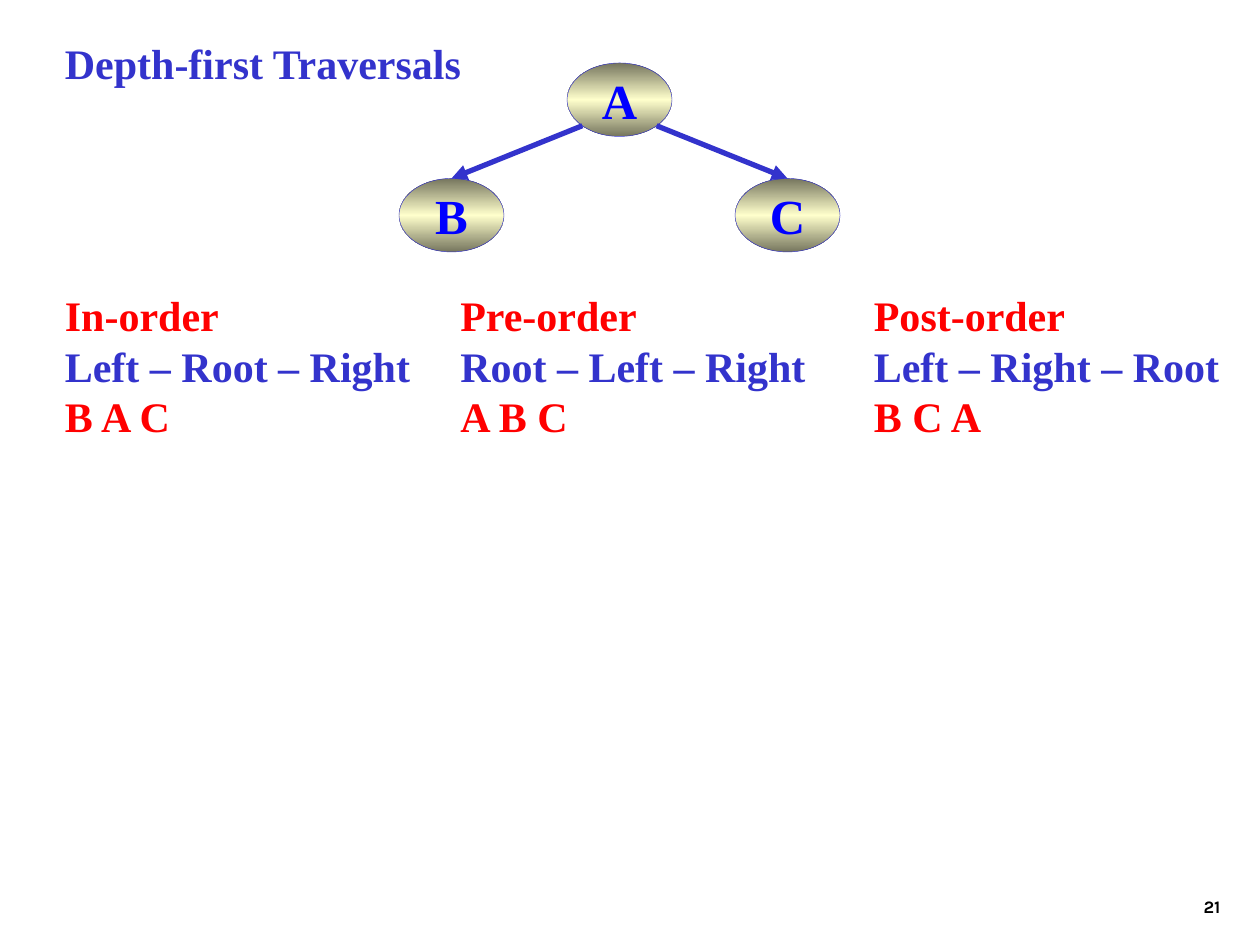
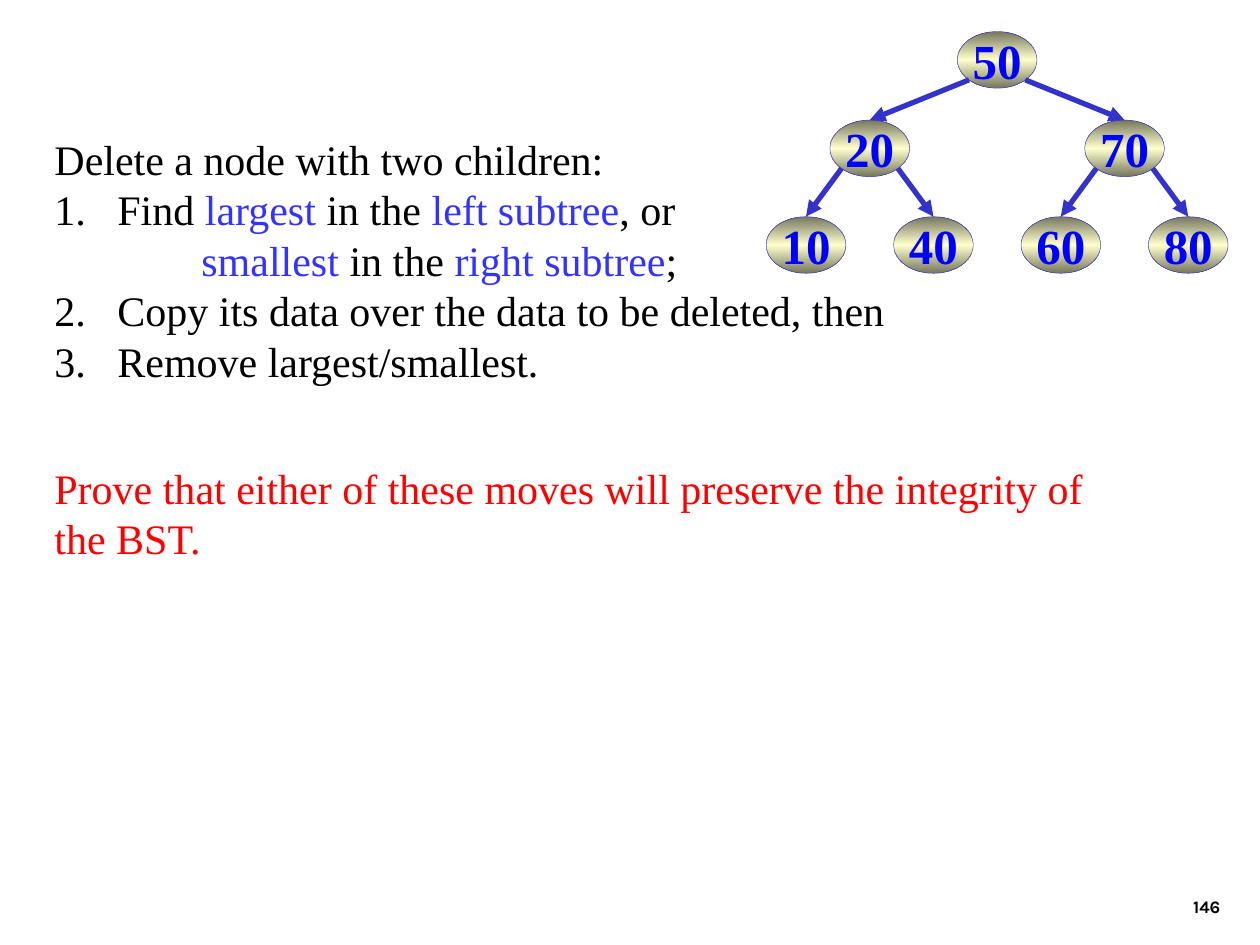
"""Build two slides on binary trees: depth-first traversals and deleting a node."""
from copy import deepcopy
from math import sqrt

from lxml import etree
from pptx import Presentation
from pptx.dml.color import RGBColor
from pptx.enum.shapes import MSO_CONNECTOR, MSO_SHAPE
from pptx.enum.text import MSO_ANCHOR, PP_ALIGN
from pptx.oxml.ns import qn
from pptx.util import Pt

STRAIGHT, ELLIPSE = MSO_CONNECTOR.STRAIGHT, MSO_SHAPE.OVAL
TOP, MIDDLE, BOTTOM = MSO_ANCHOR.TOP, MSO_ANCHOR.MIDDLE, MSO_ANCHOR.BOTTOM
LEFT, CENTER, RIGHT = PP_ALIGN.LEFT, PP_ALIGN.CENTER, PP_ALIGN.RIGHT

COLORS = {
    "black": "000000",
    "red": "FF0000",
    "indigo": "3333CC",
    "highlight": "3333FF",
    "label": "0000FF",
    "rim": "76765E",
    "glow": "FFFFCC",
}
LINE_FACTOR = 1.2

BODY = {"size": 24, "name": "Times New Roman", "bold": False}
HEADING = BODY | {"bold": True}
LABEL = HEADING | {"size": 28}
NUMBER = {"size": 10, "name": "Karla", "bold": True}

TITLE = "Depth-first Traversals"
TRAVERSALS = [
    (30, "In-order", "Left – Root – Right", "B A C"),
    (256, "Pre-order", "Root – Left – Right", "A B C"),
    (492.3, "Post-order", "Left – Right – Root", "B C A"),
]
TRAVERSAL_COLORS = ("red", "indigo", "red")

DELETE_STEPS = [
    {"runs": [("Delete a node with two children:", "black")]},
    {"runs": [("Find ", "black"), ("largest", "highlight"), (" in the ", "black"),
              ("left subtree", "highlight"), (", or", "black")], "number": 1},
    {"runs": [("smallest", "highlight"), (" in the ", "black"),
              ("right subtree", "highlight"), (";", "black")], "margin": 84},
    {"runs": [("Copy its data over the data to be deleted, then", "black")], "number": 2},
    {"runs": [("Remove largest/smallest.", "black")], "number": 3},
    {"runs": [("Prove that either of these moves will preserve the integrity of", "red")],
     "before": 43.8},
    {"runs": [("the BST.", "red")]},
]

LETTER_TREE = {
    "levels": ["A", "BC"],
    "tops": [36, 102],
    "center": 354,
    "spread": 96,
    "node": (60, 42),
}
NUMBER_TREE = {
    "levels": [["50"], ["20", "70"], ["10", "40", "60", "80"]],
    "tops": [18, 68.6, 123.8],
    "center": 569.8,
    "spread": 72.8,
    "node": (45.5, 32.4),
}


def color(name):
    return RGBColor.from_string(COLORS[name])


def write_paragraph(paragraph, runs, style, align=LEFT, number=None, margin=0, before=0):
    properties = paragraph._p.get_or_add_pPr()
    if number:
        margin = 36
        etree.SubElement(properties, qn("a:buAutoNum"), type="arabicPeriod",
                         startAt=str(number))
    properties.set("marL", str(Pt(margin)))
    properties.set("indent", str(Pt(-36 if number else 0)))
    layout = {"alignment": align, "line_spacing": Pt(style["size"] * LINE_FACTOR)}
    if before:
        layout["space_before"] = Pt(before)
    for key, value in layout.items():
        setattr(paragraph, key, value)
    for text, color_name in runs:
        run = paragraph.add_run()
        run.text = text
        for key, value in style.items():
            setattr(run.font, key, Pt(value) if key == "size" else value)
        run.font.color.rgb = color(color_name)


def write_text(shape, paragraphs, style, anchor=TOP, wrap=True, align=LEFT):
    frame = shape.text_frame
    frame.word_wrap = wrap
    frame.vertical_anchor = anchor
    for index, content in enumerate(paragraphs):
        paragraph = frame.add_paragraph() if index else frame.paragraphs[0]
        write_paragraph(paragraph, style=style, align=align, **content)


def add_text(slide, box, paragraphs, style, **options):
    shape = slide.shapes.add_textbox(*map(Pt, box))
    write_text(shape, paragraphs, style, **options)


def fill_gradient(shape):
    shape.fill.gradient()
    shape.fill.gradient_angle = 90
    stops = shape.fill.gradient_stops
    for stop, (position, name) in zip(stops, [(0, "rim"), (0.5, "glow")]):
        stop.position = position
        stop.color.rgb = color(name)
    stop_list = shape._element.spPr.find(qn("a:gradFill")).find(qn("a:gsLst"))
    last_stop = deepcopy(stop_list[0])
    last_stop.set("pos", "100000")
    stop_list.append(last_stop)


def add_node(slide, text, center, top, size):
    width, height = size
    box = (center - width / 2, top, width, height)
    shape = slide.shapes.add_shape(ELLIPSE, *map(Pt, box))
    shape.shadow.inherit = False
    fill_gradient(shape)
    shape.line.color.rgb = color("indigo")
    shape.line.width = Pt(0.25)
    write_text(shape, [{"runs": [(text, "label")]}], LABEL,
               anchor=MIDDLE, wrap=False, align=CENTER)


def add_arrow(slide, start, end):
    connector = slide.shapes.add_connector(STRAIGHT, *map(Pt, (*start, *end)))
    connector.line.color.rgb = color("indigo")
    connector.line.width = Pt(3)
    etree.SubElement(connector.line._get_or_add_ln(), qn("a:tailEnd"), type="triangle")
    etree.SubElement(connector._element.spPr, qn("a:effectLst"))


def add_tree(slide, levels, tops, center, spread, node):
    width, height = node
    centers = [[center]]
    for depth in range(1, len(levels)):
        offset = spread / 2 ** (depth - 1)
        centers.append([parent + side * offset for parent in centers[-1] for side in (-1, 1)])
    for labels, row, top in zip(levels, centers, tops):
        for text, node_center in zip(labels, row):
            add_node(slide, text, node_center, top, node)
    diagonal = 1 / sqrt(2)
    for depth, row in enumerate(centers[1:], 1):
        start_y = tops[depth - 1] + height / 2 * (1 + diagonal)
        for index, child in enumerate(row):
            side = 1 if index % 2 else -1
            start_x = centers[depth - 1][index // 2] + side * width / 2 * diagonal
            add_arrow(slide, (start_x, start_y), (child, tops[depth]))


def add_numbered_slide(presentation, number):
    slide = presentation.slides.add_slide(presentation.slide_layouts[6])
    add_text(slide, (554.4, 491.8, 150, 36), [{"runs": [(number, "black")]}], NUMBER,
             anchor=BOTTOM, align=RIGHT)
    return slide


def build_traversals(presentation):
    slide = add_numbered_slide(presentation, "21")
    add_text(slide, (30, 18, 312, 36), [{"runs": [(TITLE, "indigo")]}], HEADING)
    for left, *lines in TRAVERSALS:
        paragraphs = [{"runs": [line]} for line in zip(lines, TRAVERSAL_COLORS)]
        add_text(slide, (left, 162, 211.7, 93.6), paragraphs, HEADING, wrap=False)
    add_tree(slide, **LETTER_TREE)


def build_deletion(presentation):
    slide = add_numbered_slide(presentation, "146")
    add_text(slide, (24, 72.7, 636, 252.7), DELETE_STEPS, BODY)
    add_tree(slide, **NUMBER_TREE)


def main():
    presentation = Presentation()
    presentation.slide_width, presentation.slide_height = Pt(720), Pt(540)
    build_traversals(presentation)
    build_deletion(presentation)
    presentation.save("out.pptx")


if __name__ == "__main__":
    main()
